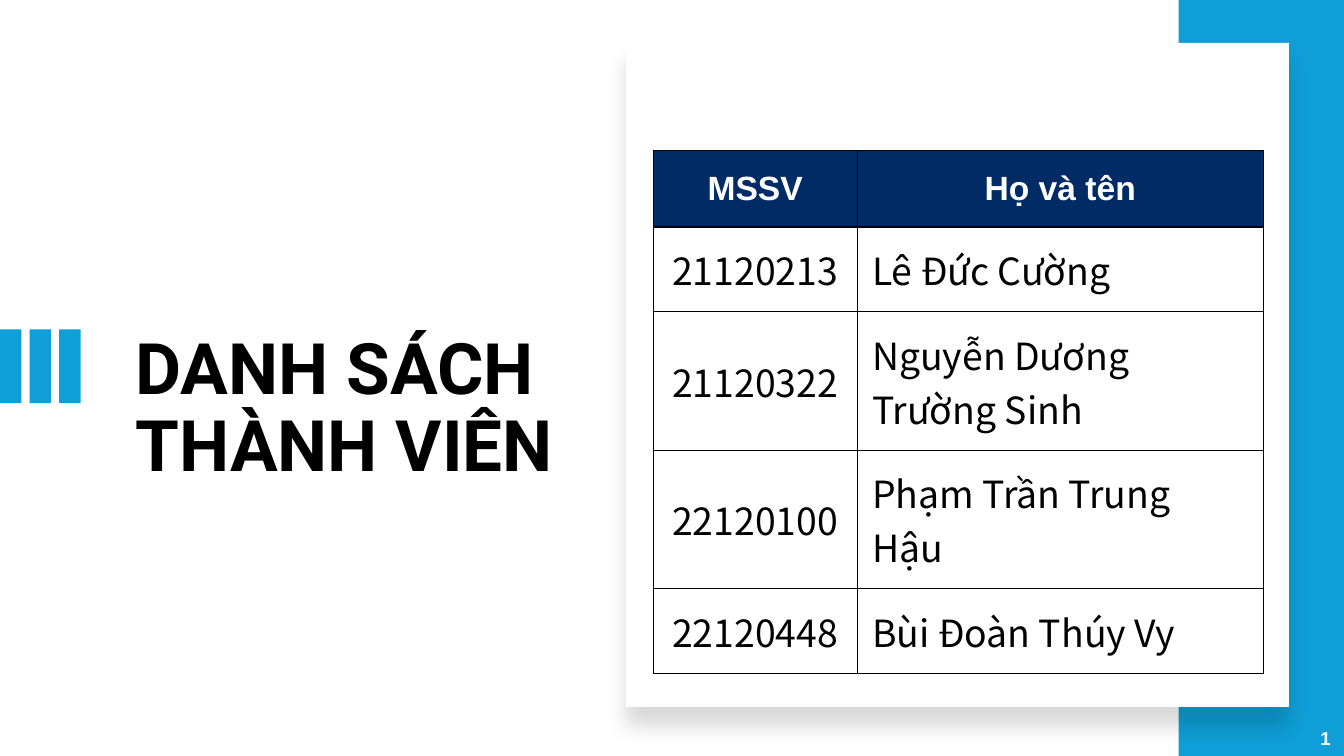
import pptx
import pptx.dml.color
import pptx.enum.shapes
import pptx.enum.text
import pptx.oxml
import pptx.oxml.ns
import pptx.util

Inches = pptx.util.Inches
Pt = pptx.util.Pt
ALIGN = pptx.enum.text.PP_ALIGN
SLIDE_WIDTH = 10
SLIDE_HEIGHT = SLIDE_WIDTH * 9 / 16
COLORS = {"accent": "0F9ED5", "header": "002B65", "white": "FFFFFF", "black": "000000"}
TITLE = {"name": "Roboto", "size": Pt(38), "bold": True}
HEADER = {"name": "Arial", "size": Pt(18), "bold": True}
BODY = {"name": "Noto Sans CJK JP", "size": Pt(20), "bold": False}
NUMBER = {"name": "Arial", "size": Pt(10), "bold": True}
CELL = dict.fromkeys(
    ("margin_left", "margin_top", "margin_right", "margin_bottom"), Inches(0.11)
) | {"vertical_anchor": pptx.enum.text.MSO_ANCHOR.MIDDLE}
MEMBERS = [
    ("MSSV", "Họ và tên"),
    ("21120213", "Lê Đức Cường"),
    ("21120322", "Nguyễn Dương Trường Sinh"),
    ("22120100", "Phạm Trần Trung Hậu"),
    ("22120448", "Bùi Đoàn Thúy Vy"),
]
COLUMN_WIDTHS = [1.52, 3.02]
ROW_HEIGHTS = [0.57, 0.63, 1.03, 1.03, 0.63]


def rgb(color):
    """Return the named colour."""
    return pptx.dml.color.RGBColor.from_string(COLORS[color])


def set_values(target, values):
    """Set each attribute of the target from a dict."""
    for name, value in values.items():
        setattr(target, name, value)


def write(frame, text, font, color, alignment=ALIGN.LEFT):
    """Write one formatted paragraph and return it."""
    paragraph = frame.paragraphs[0]
    paragraph.alignment = alignment
    run = paragraph.add_run()
    run.text = text
    set_values(run.font, font)
    run.font.color.rgb = rgb(color)
    return paragraph


def add_text(slide, box, text, font, color, alignment=ALIGN.LEFT):
    """Add a wrapped text box and return its paragraph."""
    frame = slide.shapes.add_textbox(*map(Inches, box)).text_frame
    frame.word_wrap = True
    return write(frame, text, font, color, alignment)


def add_rectangle(shapes, box, color):
    """Add a plain filled rectangle."""
    shape = shapes.add_shape(
        pptx.enum.shapes.MSO_SHAPE.RECTANGLE, *map(Inches, box)
    )
    shape.shadow.inherit = False
    shape.fill.solid()
    shape.fill.fore_color.rgb = rgb(color)
    shape.line.fill.background()
    return shape


def add_bars(slide, box, count=3, pitch=0.22):
    """Add the group of equal accent bars that fills the box."""
    left, top, width, height = box
    group = slide.shapes.add_group_shape()
    bar_width = width - (count - 1) * pitch
    for index in range(count):
        bar = (left + index * pitch, top, bar_width, height)
        add_rectangle(group.shapes, bar, "accent")


def add_title(slide, box):
    """Add the slide title."""
    paragraph = add_text(slide, box, "DANH SÁCH THÀNH VIÊN", TITLE, "black")
    set_values(paragraph, {"line_spacing": 0.9, "space_after": Pt(6)})


def add_card(slide, box):
    """Add the white card with its soft shadow."""
    card = add_rectangle(slide.shapes, box, "white")
    effects = card._element.spPr.find(pptx.oxml.ns.qn("a:effectLst"))
    effects.append(pptx.oxml.parse_xml(
        f'<a:outerShdw {pptx.oxml.ns.nsdecls("a")} blurRad="{Pt(11)}" dist="{Pt(10)}" '
        f'dir="5400000" algn="t" rotWithShape="0"><a:srgbClr val="{COLORS["black"]}">'
        '<a:alpha val="15000"/></a:srgbClr></a:outerShdw>'
    ))


def add_borders(cell):
    """Draw a thin black line on each side of the cell."""
    properties = cell._tc.get_or_add_tcPr()
    for index, side in enumerate(("lnL", "lnR", "lnT", "lnB")):
        properties.insert(index, pptx.oxml.parse_xml(
            f'<a:{side} {pptx.oxml.ns.nsdecls("a")} w="{Pt(0.75)}"><a:solidFill>'
            f'<a:srgbClr val="{COLORS["black"]}"/></a:solidFill></a:{side}>'
        ))


def add_members(slide, left, top):
    """Add the table of student numbers and names."""
    table = slide.shapes.add_table(
        len(MEMBERS), len(COLUMN_WIDTHS), Inches(left), Inches(top),
        Inches(sum(COLUMN_WIDTHS)), Inches(sum(ROW_HEIGHTS)),
    ).table
    set_values(table, {"first_row": False, "horz_banding": False})
    for column, width in zip(table.columns, COLUMN_WIDTHS):
        column.width = Inches(width)
    for row_index, (row, height) in enumerate(zip(table.rows, ROW_HEIGHTS)):
        row.height = Inches(height)
        is_header = row_index == 0
        for column_index, cell in enumerate(row.cells):
            set_values(cell, CELL)
            if is_header:
                cell.fill.solid()
                cell.fill.fore_color.rgb = rgb("header")
            else:
                cell.fill.background()
            centred = is_header or column_index == 0
            write(
                cell.text_frame, MEMBERS[row_index][column_index],
                HEADER if is_header else BODY,
                "white" if is_header else "black",
                ALIGN.CENTER if centred else ALIGN.LEFT,
            )
            add_borders(cell)


def main():
    """Build and save the slide."""
    presentation = pptx.Presentation()
    set_values(presentation, {
        "slide_width": Inches(SLIDE_WIDTH), "slide_height": Inches(SLIDE_HEIGHT),
    })
    slide = presentation.slides.add_slide(presentation.slide_layouts[6])
    add_title(slide, (0.91, 2.43, 3.31, 1.96))
    add_bars(slide, (0, 2.45, 0.6, 0.55))
    add_rectangle(slide.shapes, (8.77, 0, 1.23, SLIDE_HEIGHT), "accent")
    add_card(slide, (4.66, 0.32, 4.93, 4.94))
    add_members(slide, 4.86, 1.12)
    add_text(slide, (9.43, 5.36, 0.57, 0.27), "1", NUMBER, "white", ALIGN.RIGHT)
    presentation.save("out.pptx")


if __name__ == "__main__":
    main()
